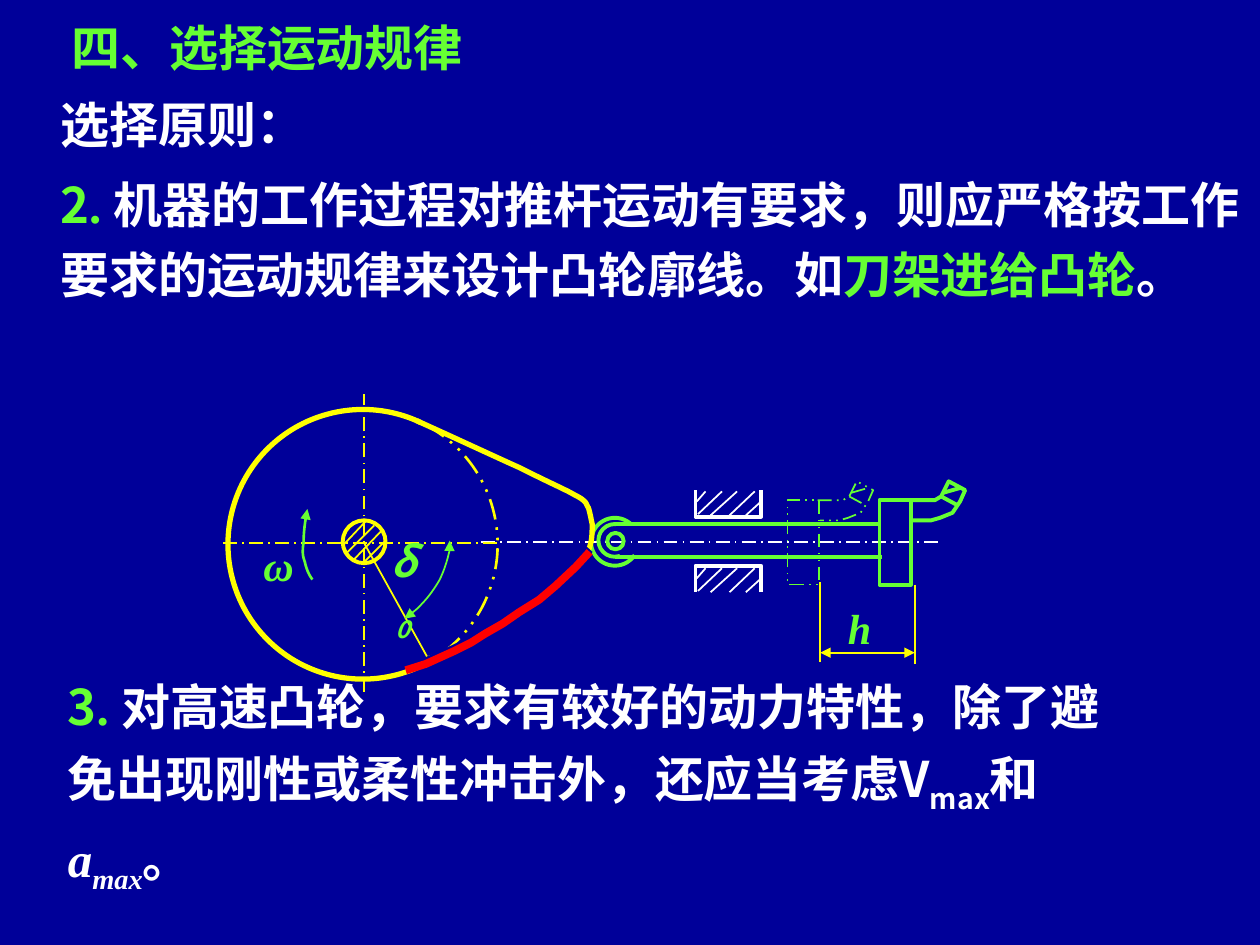
from lxml.etree import SubElement
from pptx import Presentation
from pptx.dml.color import RGBColor
from pptx.enum.dml import MSO_LINE_DASH_STYLE as DASH
from pptx.enum.shapes import MSO_CONNECTOR, MSO_SHAPE
from pptx.enum.text import MSO_ANCHOR, PP_ALIGN
from pptx.oxml.ns import qn
from pptx.util import Cm, Pt

NAVY = RGBColor(0x00, 0x00, 0x99)
GREEN = RGBColor(0x66, 0xFF, 0x33)
WHITE = RGBColor(0xFF, 0xFF, 0xFF)
YELLOW = RGBColor(0xFF, 0xFF, 0x00)
RED = RGBColor(0xFF, 0x00, 0x00)
CJK, ROMAN = "Noto Sans CJK SC", "Times New Roman"
CENTRE, LEFT = PP_ALIGN.CENTER, PP_ALIGN.LEFT
DOT, DOTDOT = DASH.LONG_DASH_DOT, DASH.DASH_DOT_DOT

# Content: run = (text, font, colour, italic, subscript); positions in inches
HEADINGS = [
    ((0.29, 0.09, 3.66, 0.57), [("四、选择运动规律", CJK, GREEN, False, False)]),
    ((0.38, 0.7, 2.14, 0.57), [("选择原则：", CJK, WHITE, False, False)]),
]
PRINCIPLES = [
    ((0.38, 1.24, 9.56, 1.22), [
        ("2", CJK, GREEN, False, False),
        (". ", ROMAN, GREEN, False, False),
        ("机器的工作过程对推杆运动有要求，则应严格按工作要求的运动规律来设计凸轮廓线。如",
         CJK, WHITE, False, False),
        ("刀架进给凸轮", CJK, GREEN, False, False),
        ("。", CJK, WHITE, False, False)]),
    ((0.44, 5.22, 8.75, 1.94), [
        ("3", CJK, GREEN, False, False),
        (". ", ROMAN, GREEN, False, False),
        ("对高速凸轮，要求有较好的动力特性，除了避免出现刚性或柔性冲击外，还应当考虑V",
         CJK, WHITE, False, False),
        ("max", CJK, WHITE, False, True),
        ("和 ", CJK, WHITE, False, False),
        ("a", ROMAN, WHITE, True, False),
        ("max", ROMAN, WHITE, True, True),
        ("。", CJK, WHITE, False, False)]),
]
# Symbol labels: box, runs, alignment, wrap
LABELS = [
    ((2.09, 4.28, 0.24, 0.4), [("ω", ROMAN, GREEN, True, False)], CENTRE, False),
    ((6.73, 4.78, 0.27, 0.4), [("h", ROMAN, GREEN, True, False)], LEFT, False),
    ((3.05, 4.25, 0.3, 0.46), [("δ", CJK, GREEN, True, False),
                               ("0", CJK, GREEN, True, True)], CENTRE, True),
]
# Straight lines: x1, y1, x2, y2, colour, width, dash
LINES = [
    (3.82, 4.3, 7.48, 4.3, WHITE, 1, DOT),        # rod axis
    (4.88, 4.16, 6.99, 4.16, GREEN, 2.25, None),  # rod
    (4.88, 4.42, 7, 4.42, GREEN, 2.25, None),
    (1.77, 4.31, 3.98, 4.31, YELLOW, 1, DOT),     # cam axes
    (2.89, 5.49, 2.89, 3.13, YELLOW, 1, DOT),
    (2.73, 4.32, 2.9, 4.14, YELLOW, 1, None),     # shaft hatching
    (2.75, 4.39, 2.97, 4.17, YELLOW, 1, None),
    (2.81, 4.44, 3.03, 4.21, YELLOW, 1, None),
    (2.89, 4.46, 3.06, 4.29, YELLOW, 1, None),
    (6.51, 4.62, 6.51, 5.25, YELLOW, 1, None),    # stroke extension lines
    (7.26, 4.64, 7.26, 5.27, YELLOW, 1, None),
    (2.89, 4.31, 3.4, 5.23, YELLOW, 1, None),     # angle limit
]
# Arcs: centre x, centre y, radius, start and end degrees, colour, width, dash
ARCS = [
    (4.88, 4.3, 0.19, 34.5, 311, GREEN, 2.25, None),
    (4.88, 4.29, 0.13, 72, 274, GREEN, 2.25, None),
    (2.88, 4.32, 1.07, 298, 60.8, YELLOW, 1.5, DOTDOT),
    (2.88, 4.32, 1.07, 59.3, 295.6, YELLOW, 3, None),
]
CIRCLES = [(4.885, 4.295, 0.065, GREEN), (2.89, 4.3, 0.17, YELLOW)]
# Bezier curves: start point, then two controls and an end for each piece
CAM_FLANK = [
    (3.31, 3.34), (3.62, 3.48), (3.92, 3.62), (4.12, 3.71),
    (4.32, 3.81), (4.43, 3.86), (4.51, 3.9), (4.6, 3.95), (4.61, 3.95), (4.64, 3.98),
    (4.66, 4), (4.65, 4), (4.67, 4.03), (4.68, 4.06), (4.69, 4.11), (4.7, 4.16),
    (4.7, 4.21), (4.7, 4.29), (4.68, 4.34), (4.66, 4.4), (4.64, 4.42), (4.58, 4.48),
    (4.52, 4.54), (4.43, 4.63), (4.33, 4.7), (4.24, 4.78), (4.12, 4.86), (4.01, 4.93),
    (3.89, 5), (3.73, 5.09), (3.63, 5.14), (3.53, 5.19), (3.46, 5.21), (3.39, 5.23)]
ROTATION = [(2.48, 4.6), (2.45, 4.56), (2.43, 4.51), (2.42, 4.46),
            (2.4, 4.41), (2.4, 4.37), (2.41, 4.3), (2.41, 4.23), (2.42, 4.14), (2.44, 4.04)]
ANGLE = [(3.21, 4.91), (3.26, 4.87), (3.31, 4.84), (3.35, 4.79),
         (3.4, 4.74), (3.45, 4.67), (3.49, 4.6), (3.52, 4.54), (3.55, 4.45), (3.56, 4.4),
         (3.58, 4.34), (3.57, 4.32), (3.57, 4.29)]
WORKING_EDGE = [(4.68, 4.38), (4.57, 4.5), (4.41, 4.65), (4.28, 4.76), (4.12, 4.86),
                (3.99, 4.95), (3.85, 5.03), (3.74, 5.1), (3.6, 5.17), (3.49, 5.22),
                (3.38, 5.27), (3.22, 5.32)]
CUTTER = [(7.22, 3.97), (7.42, 3.97), (7.47, 3.94), (7.53, 3.82), (7.66, 3.89),
          (7.62, 3.98), (7.56, 4.07), (7.46, 4.11), (7.39, 4.13), (7.24, 4.13)]
CUTTER_EDGES = [(7.47, 3.94, 7.6, 4.01), (7.49, 3.91, 7.63, 3.87)]
GUIDE_HATCH = [(6.03, 3.99, 5.92, 4.09), (5.99, 3.9, 5.79, 4.09), (5.85, 3.9, 5.64, 4.09),
               (5.73, 3.9, 5.54, 4.08), (5.6, 3.9, 5.53, 3.98)]


def inch(v):
    return Cm(v * 2.54)


def style(sp, color, width, dash=None, arrows=()):
    line = sp.line
    line.color.rgb = color
    line.width = Pt(width)
    if dash:
        line.dash_style = dash
    for end in arrows:
        SubElement(line._get_or_add_ln(), qn(f"a:{end}"), type="triangle")


def add_text(box, runs, size, align=LEFT, wrap=True, margin=0.0, spacing=None):
    tf = shapes.add_textbox(*map(inch, box)).text_frame
    tf.word_wrap = wrap
    tf.margin_left = tf.margin_right = inch(margin)
    tf.margin_top = tf.margin_bottom = inch(margin / 2)
    tf.vertical_anchor = MSO_ANCHOR.MIDDLE if margin else MSO_ANCHOR.TOP
    p = tf.paragraphs[0]
    p.alignment = align
    if spacing:
        p.line_spacing = spacing
    for text, font, color, italic, sub in runs:
        r = p.add_run()
        r.text = text
        f = r.font
        f.name, f.size, f.bold, f.italic = font, Pt(size), True, italic
        f.color.rgb = color
        rPr = r._r.get_or_add_rPr()
        SubElement(rPr, qn("a:ea"), typeface=font)
        if sub:
            rPr.set("baseline", "-25000")


def add_line(x1, y1, x2, y2, color, width, dash=None, arrows=()):
    cxn = shapes.add_connector(MSO_CONNECTOR.STRAIGHT, *map(inch, (x1, y1, x2, y2)))
    style(cxn, color, width, dash, arrows)
    SubElement(cxn._element.spPr, qn("a:effectLst"))


def add_preset(kind, x, y, w, h, color, width, dash=None):
    sp = shapes.add_shape(kind, *map(inch, (x, y, w, h)))
    sp.shadow.inherit = False
    sp.fill.background()
    style(sp, color, width, dash)
    return sp


def add_path(points, color, width, dash=None, arrows=()):
    pts = [(inch(x), inch(y)) for x, y in points]
    fb = shapes.build_freeform(*pts[0])
    fb.add_line_segments(pts[1:], close=False)
    sp = fb.convert_to_shape()
    sp.shadow.inherit = False
    sp.fill.background()
    style(sp, color, width, dash, arrows)


def bezier(points, steps=8):
    out = [points[0]]
    for i in range(0, len(points) - 1, 3):
        for t in (k / steps for k in range(1, steps + 1)):
            weights = ((1 - t) ** 3, 3 * t * (1 - t) ** 2, 3 * t * t * (1 - t), t ** 3)
            out.append(tuple(sum(w * pt[axis] for w, pt in zip(weights, points[i:i + 4]))
                             for axis in (0, 1)))
    return out


prs = Presentation()
prs.slide_width, prs.slide_height = inch(10), inch(7.5)
s = prs.slides.add_slide(prs.slide_layouts[6])
s.background.fill.solid()
s.background.fill.fore_color.rgb = NAVY
shapes = s.shapes

# Wording
for box, runs in HEADINGS:
    add_text(box, runs, 28, CENTRE, False, 0.1)
for box, runs in PRINCIPLES:
    add_text(box, runs, 28, margin=0.1, spacing=1.2)

# Axes, rod, roller, shaft and base circle
for line in LINES:
    add_line(*line)
for cx, cy, radius, color in CIRCLES:
    add_preset(MSO_SHAPE.OVAL, cx - radius, cy - radius, 2 * radius, 2 * radius, color, 2.25)
for cx, cy, radius, start, end, color, width, dash in ARCS:
    arc = add_preset(MSO_SHAPE.ARC, cx - radius, cy - radius, 2 * radius, 2 * radius,
                     color, width, dash)
    arc.adjustments[0], arc.adjustments[1] = start * 0.6, end * 0.6

# Tool holder at the end and at the start of its stroke
for dx, width, dash in ((0, 2.25, None), (-0.73, 1, DOTDOT)):
    add_preset(MSO_SHAPE.RECTANGLE, 6.98 + dx, 3.97, 0.25, 0.67, GREEN, width, dash)
    add_path([(x + dx, y) for x, y in CUTTER], GREEN, width, dash)
    for x1, y1, x2, y2 in CUTTER_EDGES:
        add_line(x1 + dx, y1, x2 + dx, y2, GREEN, width, dash)

# Guides above and below the rod
for inner, outer, dy in ((4.1, 3.89, 0), (4.49, 4.7, 0.61)):
    add_path([(6.04, outer), (6.04, inner), (5.52, inner), (5.52, outer)], WHITE, 2.25)
    for x1, y1, x2, y2 in GUIDE_HATCH:
        add_line(x1, y1 + dy, x2, y2 + dy, WHITE, 1)

# Cam flank, motion arrows and stroke dimension
add_path(bezier(CAM_FLANK), YELLOW, 3)
add_path(bezier(ROTATION), GREEN, 1.5, arrows=["tailEnd"])
add_path(bezier(ANGLE), GREEN, 1, arrows=["headEnd", "tailEnd"])
add_line(6.51, 5.18, 7.26, 5.18, YELLOW, 1, arrows=["headEnd", "tailEnd"])
for box, runs, align, wrap in LABELS:
    add_text(box, runs, 24, align, wrap)

# Working edge in red over a background-coloured band
for dy, color in ((-0.02, NAVY), (0, RED)):
    add_path([(x, y + dy) for x, y in WORKING_EDGE], color, 4.5)

prs.save("out.pptx")
